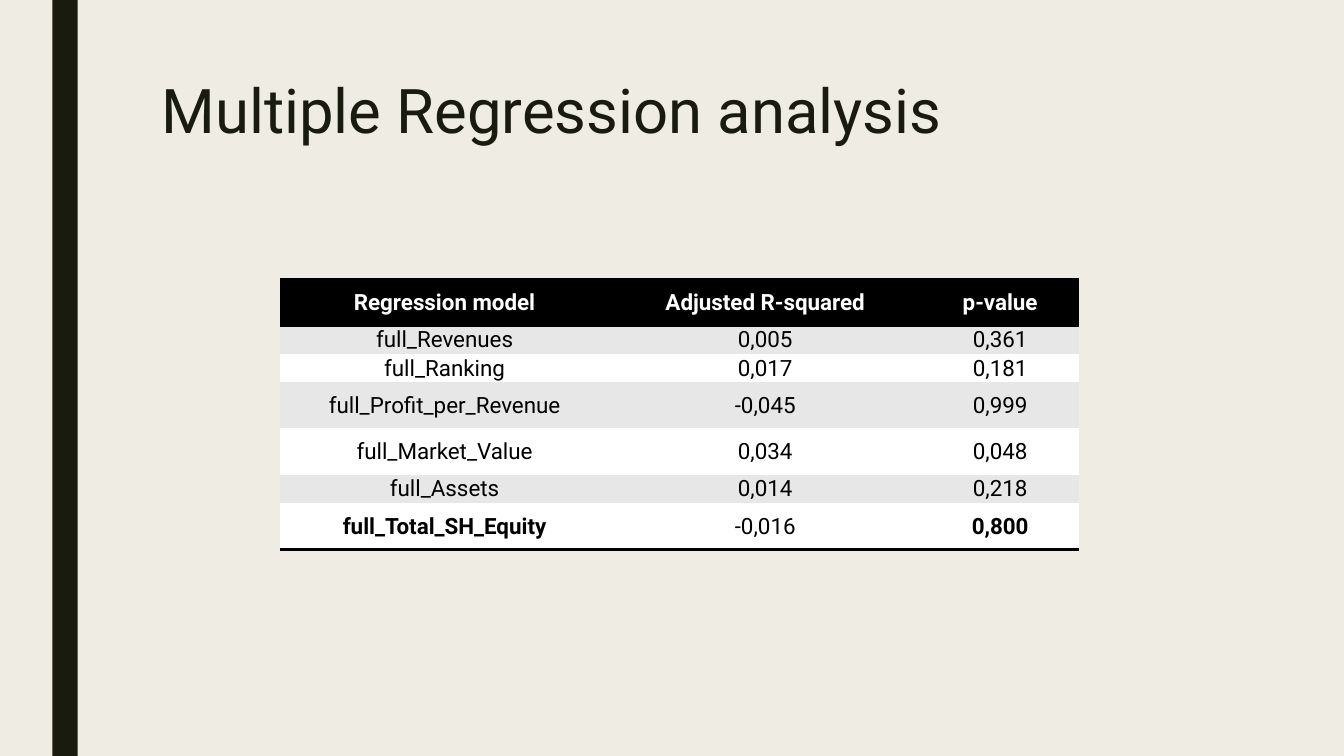
from dataclasses import dataclass

from lxml import etree
from pptx import Presentation
from pptx.dml.color import RGBColor
from pptx.enum.shapes import MSO_SHAPE as Shape
from pptx.enum.text import MSO_ANCHOR as Anchor, PP_ALIGN as Align
from pptx.oxml.ns import qn
from pptx.util import Inches, Pt


@dataclass(frozen=True)
class Theme:
    font: str = "Roboto"
    background: str = "EFEDE3"
    dark: str = "191B0E"
    black: str = "000000"
    white: str = "FFFFFF"
    band: str = "E7E7E7"
    title_size: int = 44
    table_size: int = 16
    rule_width: int = 2


THEME = Theme()
PLAIN_TABLE_STYLE = "{2D5ABB26-0587-4C30-8999-92F81FD0307C}"

HEADER = ("Regression model", "Adjusted R-squared", "p-value")
MODELS = (
    ("full_Revenues", "0,005", "0,361"),
    ("full_Ranking", "0,017", "0,181"),
    ("full_Profit_per_Revenue", "-0,045", "0,999"),
    ("full_Market_Value", "0,034", "0,048"),
    ("full_Assets", "0,014", "0,218"),
    ("full_Total_SH_Equity", "-0,016", "0,800"),
)
COLUMN_WIDTHS = (3.26, 3.1, 1.56)
ROW_HEIGHTS = (0.46, 0.28, 0.28, 0.46, 0.46, 0.28, 0.46)
BOLD_BODY_CELLS = {(6, 0), (6, 2)}


def set_values(target, values):
    for name, value in values.items():
        setattr(target, name, value)


def paint(fill, color):
    fill.solid()
    fill.fore_color.rgb = RGBColor.from_string(color)


def write(frame, text, size, color, bold=False, **paragraph_format):
    para = frame.paragraphs[0]
    set_values(para, paragraph_format)
    span = para.add_run()
    span.text = text
    set_values(span.font, {"name": THEME.font, "size": Pt(size), "bold": bold})
    span.font.color.rgb = RGBColor.from_string(color)


def add_stripe(page, height):
    stripe = page.shapes.add_shape(
        Shape.RECTANGLE, Inches(0.52), 0, Inches(0.25), height)
    stripe.shadow.inherit = False
    paint(stripe.fill, THEME.dark)
    stripe.line.fill.background()


def fill_title(page, text):
    title = page.shapes.title
    set_values(title, {"left": Inches(1.5), "top": Inches(0.75),
                       "width": Inches(10.5), "height": Inches(0.92)})
    set_values(title.text_frame, {"word_wrap": True,
                                  "vertical_anchor": Anchor.TOP})
    write(title.text_frame, text, THEME.title_size, THEME.dark,
          alignment=Align.LEFT, line_spacing=0.89)


def add_rule(cell, edge, position):
    """Draw a border; lines must come before the fill in the cell XML."""
    line = etree.Element(qn(f"a:{edge}"), w=str(Pt(THEME.rule_width)))
    solid = etree.SubElement(line, qn("a:solidFill"))
    etree.SubElement(solid, qn("a:srgbClr"), val=THEME.black)
    cell._tc.get_or_add_tcPr().insert(position, line)


def format_cell(cell, text, fill, color, bold, edges):
    set_values(cell, {"vertical_anchor": Anchor.MIDDLE, "margin_bottom": 0,
                      "margin_left": Inches(0.01), "margin_top": Inches(0.01),
                      "margin_right": Inches(0.01)})
    paint(cell.fill, fill)
    write(cell.text_frame, text, THEME.table_size, color, bold,
          alignment=Align.CENTER)
    for position, edge in enumerate(edges):
        add_rule(cell, edge, position)


def add_model_table(page):
    rows = (HEADER, *MODELS)
    table = page.shapes.add_table(
        len(rows), len(HEADER), Inches(2.78), Inches(2.77),
        Inches(sum(COLUMN_WIDTHS)), Inches(sum(ROW_HEIGHTS))).table
    table._tbl.tblPr.find(qn("a:tableStyleId")).text = PLAIN_TABLE_STYLE
    for column, width in zip(table.columns, COLUMN_WIDTHS):
        column.width = Inches(width)
    for row, height in zip(table.rows, ROW_HEIGHTS):
        row.height = Inches(height)

    # Black header, alternating body bands, closing rule
    for r, values in enumerate(rows):
        if r == 0:
            fill, color, edges = THEME.black, THEME.white, ("lnT", "lnB")
        else:
            fill = THEME.band if r % 2 else THEME.white
            color = THEME.black
            edges = ("lnB",) if r == len(MODELS) else ()
        for c, text in enumerate(values):
            bold = r == 0 or (r, c) in BOLD_BODY_CELLS
            format_cell(table.cell(r, c), text, fill, color, bold, edges)


def main():
    deck = Presentation()
    set_values(deck, {"slide_width": Inches(13.33),
                      "slide_height": Inches(7.5)})
    page = deck.slides.add_slide(deck.slide_layouts.get_by_name("Title Only"))
    paint(page.background.fill, THEME.background)
    add_stripe(page, deck.slide_height)
    fill_title(page, "Multiple Regression analysis")
    add_model_table(page)
    deck.save("out.pptx")


if __name__ == "__main__":
    main()
